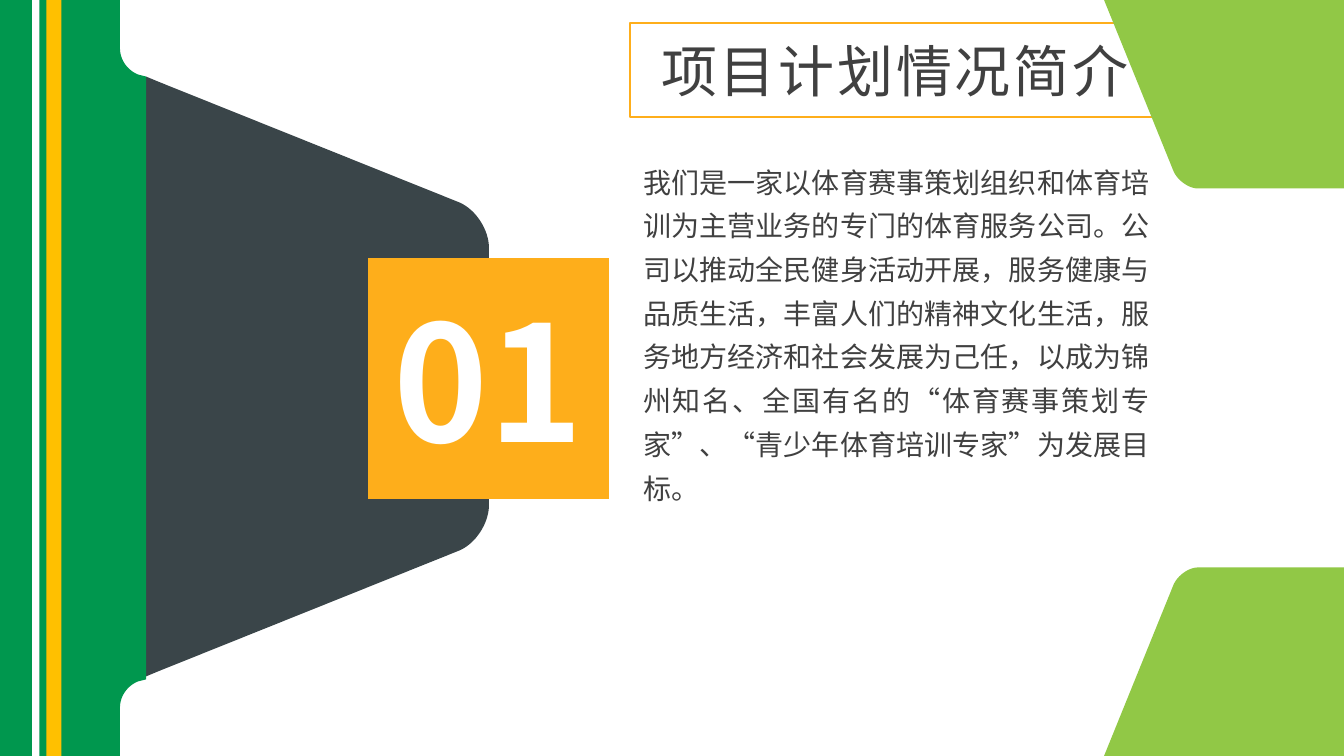
from pptx import Presentation
from pptx.dml.color import RGBColor
from pptx.enum.shapes import MSO_SHAPE
from pptx.enum.text import MSO_ANCHOR, PP_ALIGN
from pptx.oxml.ns import qn
from pptx.util import Inches, Pt
from lxml.etree import SubElement

WIDTH, HEIGHT = 13.33, 7.5
FONT = "Noto Sans CJK SC"
COLORS = {
    "slate": "3A4549",
    "amber": "FEAE1B",
    "gold": "FFC000",
    "green": "00974E",
    "lime": "91C846",
    "text": "404040",
    "white": "FFFFFF",
}
INTRO = (
    "我们是一家以体育赛事策划组织和体育培训为主营业务的专门的体育服务公司。"
    "公司以推动全民健身活动开展，服务健康与品质生活，丰富人们的精神文化生活，"
    "服务地方经济和社会发展为己任，以成为锦州知名、全国有名的"
    "“体育赛事策划专家”、“青少年体育培训专家”为发展目标。"
)


def color(name):
    return RGBColor.from_string(COLORS[name])


def curve(a, b, c, d, steps=16):
    points = []
    for i in range(steps + 1):
        t = i / steps
        u = 1 - t
        weights = (u**3, 3 * u * u * t, 3 * u * t * t, t**3)
        points.append(tuple(
            sum(w * q[axis] for w, q in zip(weights, (a, b, c, d)))
            for axis in (0, 1)
        ))
    return points


def mirror(points, middle):
    return [(x, 2 * middle - y) for x, y in reversed(points)]


def write(tf, text, size, fill="text", bold=False, align=PP_ALIGN.CENTER,
          spacing=None, line_spacing=None, space_after=None):
    tf.word_wrap = True
    p = tf.paragraphs[0]
    p.alignment = align
    p.line_spacing = line_spacing
    p.space_after = space_after
    r = p.add_run()
    r.text = text
    r.font.name = FONT
    r.font.size = Pt(size)
    r.font.bold = bold
    r.font.color.rgb = color(fill)
    rPr = r.font._element
    rPr.set("lang", "zh-CN")
    if spacing:
        rPr.set("spc", str(spacing * 100))
    SubElement(rPr, qn("a:ea")).set("typeface", FONT)


class Deck:
    def __init__(self):
        self.prs = Presentation()
        self.prs.slide_width = Inches(WIDTH)
        self.prs.slide_height = Inches(HEIGHT)
        self.slide = self.prs.slides.add_slide(self.prs.slide_layouts[6])

    def style(self, sp, fill=None, line=None):
        sp.shadow.inherit = False
        if fill:
            sp.fill.solid()
            sp.fill.fore_color.rgb = color(fill)
        else:
            sp.fill.background()
        if line:
            sp.line.color.rgb = color(line)
            sp.line.width = Pt(1)
        else:
            sp.line.fill.background()
        return sp

    def rect(self, x, y, w, h, fill=None, line=None):
        sp = self.slide.shapes.add_shape(
            MSO_SHAPE.RECTANGLE, Inches(x), Inches(y), Inches(w), Inches(h))
        sp.text_frame.vertical_anchor = MSO_ANCHOR.MIDDLE
        return self.style(sp, fill, line)

    def outline(self, points, fill):
        emu = [(Inches(x), Inches(y)) for x, y in points]
        builder = self.slide.shapes.build_freeform(*emu[0], scale=1.0)
        builder.add_line_segments(emu[1:], close=True)
        return self.style(builder.convert_to_shape(), fill)

    def textbox(self, x, y, w, h):
        return self.slide.shapes.add_textbox(
            Inches(x), Inches(y), Inches(w), Inches(h)).text_frame


def main():
    deck = Deck()

    wedge = [(1.45, 0.76), (1.57, 0.81)] + curve(
        (4.56, 2.01), (4.72, 2.08), (4.85, 2.28), (4.85, 2.46))
    deck.outline(wedge + mirror(wedge, 3.735), "slate")

    tf = deck.rect(3.65, 2.56, 2.39, 2.39, fill="amber").text_frame
    tf.margin_left = tf.margin_right = tf.margin_top = tf.margin_bottom = 0
    write(tf, "01", 115, fill="white", bold=True)

    title = deck.rect(6.25, 0.23, 5.25, 0.93, line="amber")
    write(title.text_frame, "项目计划情况简介", 40, spacing=2)

    write(deck.textbox(6.28, 1.49, 5.22, 1.06), INTRO, 20,
          align=PP_ALIGN.JUSTIFY, line_spacing=1.3, space_after=Pt(6))

    band = [(0, 0), (1.19, 0)] + curve(
        (1.19, 0.48), (1.19, 0.6), (1.27, 0.7), (1.37, 0.74)) + [(1.45, 0.76)]
    deck.outline(band + mirror(band, HEIGHT / 2), "green")
    for x, w, fill in ((0.46, 0.15, "gold"), (0.32, 0.07, "white")):
        deck.rect(x, 0, w, HEIGHT, fill=fill)

    corner = [(10.95, 0)] + curve(
        (11.64, 1.7), (11.68, 1.79), (11.79, 1.87), (11.88, 1.87)
    ) + [(WIDTH, 1.87), (WIDTH, 0)]
    for points in (corner, mirror(corner, HEIGHT / 2)):
        deck.outline(points, "lime")

    deck.prs.save("out.pptx")


if __name__ == "__main__":
    main()
